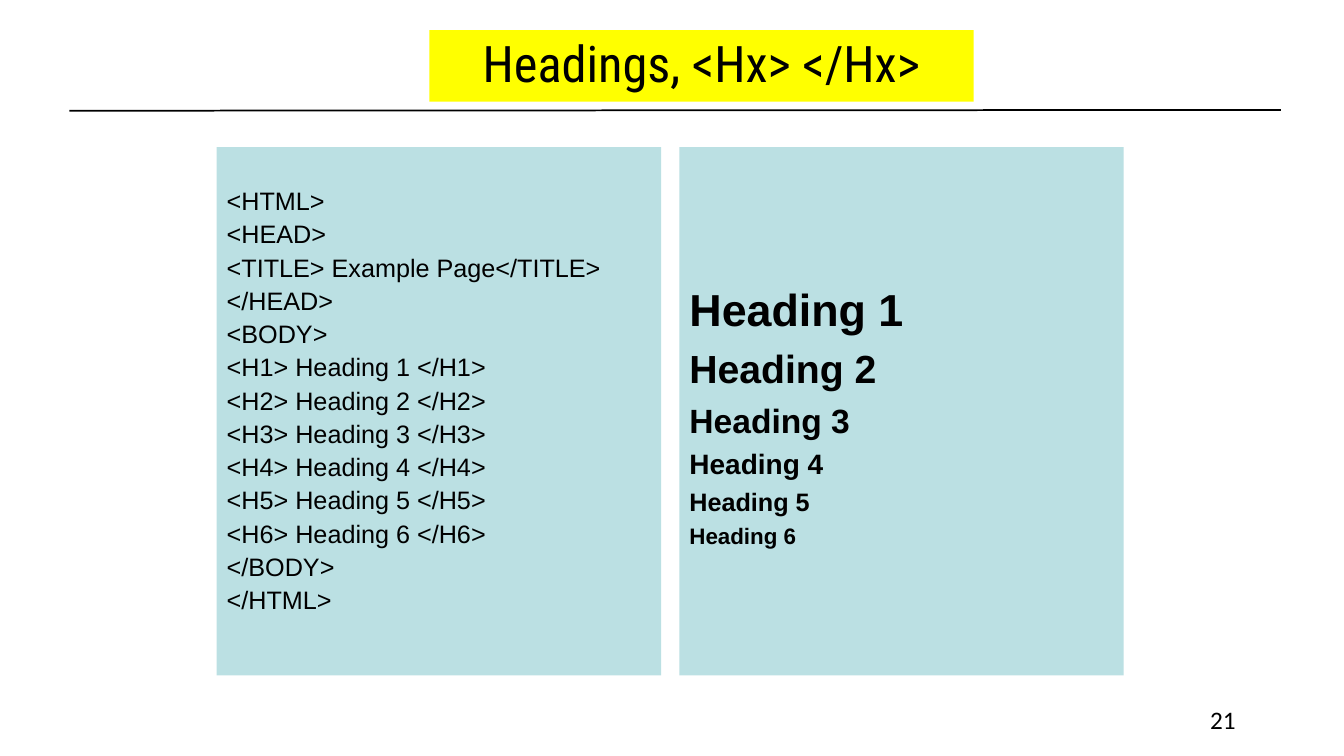
from dataclasses import dataclass

from lxml.etree import SubElement
from pptx import Presentation
from pptx.dml.color import RGBColor
from pptx.enum.shapes import MSO_CONNECTOR as Connector
from pptx.enum.text import MSO_ANCHOR as Anchor, MSO_AUTO_SIZE as AutoSize, PP_ALIGN as Align
from pptx.oxml.ns import qn
from pptx.util import Cm, Pt


@dataclass(frozen=True)
class Theme:
    ink: RGBColor = RGBColor(0x00, 0x00, 0x00)
    highlight: RGBColor = RGBColor(0xFF, 0xFF, 0x00)
    panel: RGBColor = RGBColor(0xBB, 0xE0, 0xE3)
    title_font: str = "Roboto Condensed"
    body_font: str = "Arial"
    number_font: str = "Calibri"
    title_size: int = 36
    code_size: int = 18
    number_size: int = 18
    heading_sizes: tuple[int, ...] = (32, 28, 24, 20, 18, 16)
    gap_ratio: float = 0.24


@dataclass(frozen=True)
class Line:
    text: str
    size: int


@dataclass(frozen=True)
class Panel:
    placeholder: int
    left: float
    top_inset: float
    lines: list[Line]
    bold: bool
    line_spacing: float


THEME = Theme()
HEADINGS = [f"Heading {level}" for level in range(1, 7)]
CODE = [
    "<HTML>",
    "<HEAD>",
    "<TITLE> Example Page</TITLE>",
    "</HEAD>",
    "<BODY>",
    *(f"<H{level}> {heading} </H{level}>" for level, heading in enumerate(HEADINGS, 1)),
    "</BODY>",
    "</HTML>",
]
PANELS = [
    Panel(1, 5.46, 1.05, [Line(code, THEME.code_size) for code in CODE], False, 0.9),
    Panel(2, 17.12, 3.38, [Line(*pair) for pair in zip(HEADINGS, THEME.heading_sizes)], True, 1.0),
]


def place(shape, left: float, top: float, width: float, height: float) -> None:
    shape.left, shape.top, shape.width, shape.height = map(Cm, (left, top, width, height))


def fill(shape, color: RGBColor) -> None:
    shape.fill.solid()
    shape.fill.fore_color.rgb = color


def set_font(paragraph, name: str, size: int, bold: bool = False) -> None:
    font = paragraph.font
    font.name, font.size, font.bold = name, Pt(size), bold
    font.color.rgb = THEME.ink


def draw_title(slide, text: str) -> None:
    title = slide.shapes.title
    place(title, 10.82, 0.76, 13.72, 1.8)
    fill(title, THEME.highlight)
    title.text_frame.text = text
    title.text_frame.auto_size = AutoSize.NONE
    title.text_frame.vertical_anchor = Anchor.MIDDLE
    paragraph = title.text_frame.paragraphs[0]
    paragraph.alignment = Align.CENTER
    paragraph.line_spacing = 0.9
    set_font(paragraph, THEME.title_font, THEME.title_size)


def draw_rule(slide) -> None:
    rule = slide.shapes.add_connector(Connector.STRAIGHT, Cm(1.75), Cm(2.79), Cm(32.28), Cm(2.77))
    rule.line.color.rgb = THEME.ink
    rule.line.width = Pt(1.25)
    SubElement(rule._element.spPr, qn("a:effectLst"))


def draw_panel(slide, panel: Panel) -> None:
    body = slide.placeholders[panel.placeholder]
    place(body, panel.left, 3.71, 11.2, 13.31)
    fill(body, THEME.panel)
    frame = body.text_frame
    frame.auto_size = AutoSize.NONE
    frame.vertical_anchor = Anchor.TOP
    frame.margin_top = Cm(panel.top_inset)
    frame.text = "\n".join(line.text for line in panel.lines)
    for index, (paragraph, line) in enumerate(zip(frame.paragraphs, panel.lines)):
        properties = paragraph._p.get_or_add_pPr()
        properties.set("marL", str(Cm(0.95)))
        properties.set("indent", str(Cm(-0.95)))
        SubElement(properties, qn("a:buNone"))
        paragraph.alignment = Align.LEFT
        paragraph.line_spacing = panel.line_spacing
        paragraph.space_before = Pt(round(line.size * THEME.gap_ratio, 1) if index else 0)
        set_font(paragraph, THEME.body_font, line.size, panel.bold)


def draw_page_number(slide, number: int) -> None:
    box = slide.shapes.add_textbox(Cm(30.25), Cm(17.63), Cm(1.27), Cm(1.02))
    box.text_frame.word_wrap = False
    box.text_frame.text = str(number)
    set_font(box.text_frame.paragraphs[0], THEME.number_font, THEME.number_size)


def main() -> None:
    deck = Presentation()
    deck.slide_width, deck.slide_height = Cm(33.87), Cm(19.05)
    slide = deck.slides.add_slide(deck.slide_layouts[3])
    draw_page_number(slide, 21)
    draw_rule(slide)
    draw_title(slide, "Headings, <Hx> </Hx>")
    for panel in PANELS:
        draw_panel(slide, panel)
    deck.save("out.pptx")


if __name__ == "__main__":
    main()
